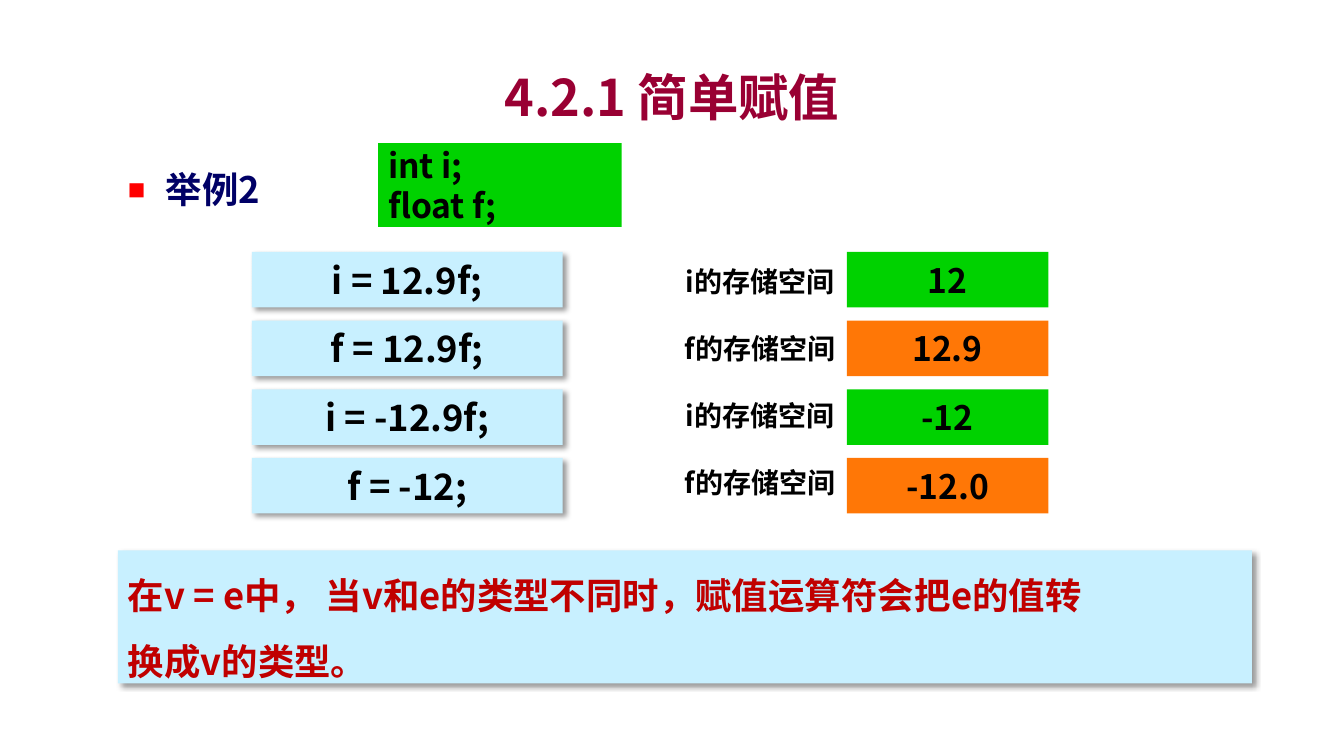
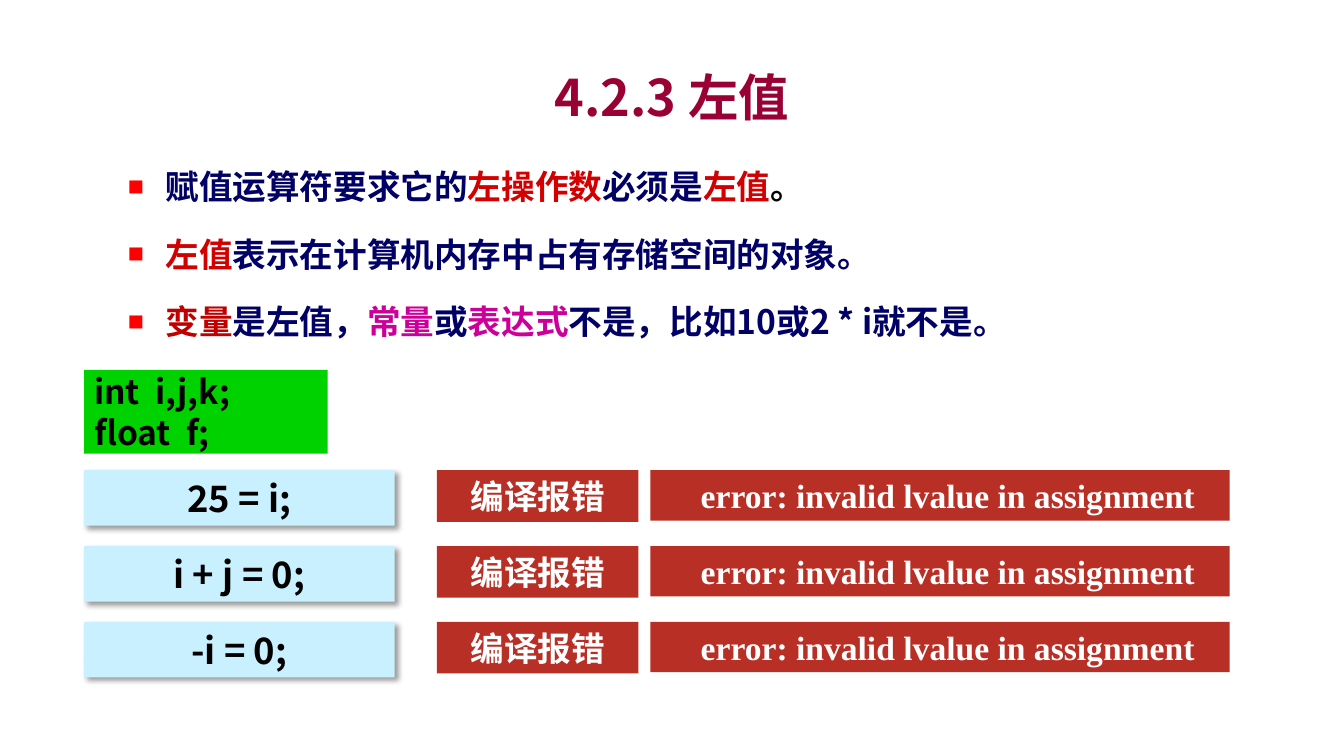
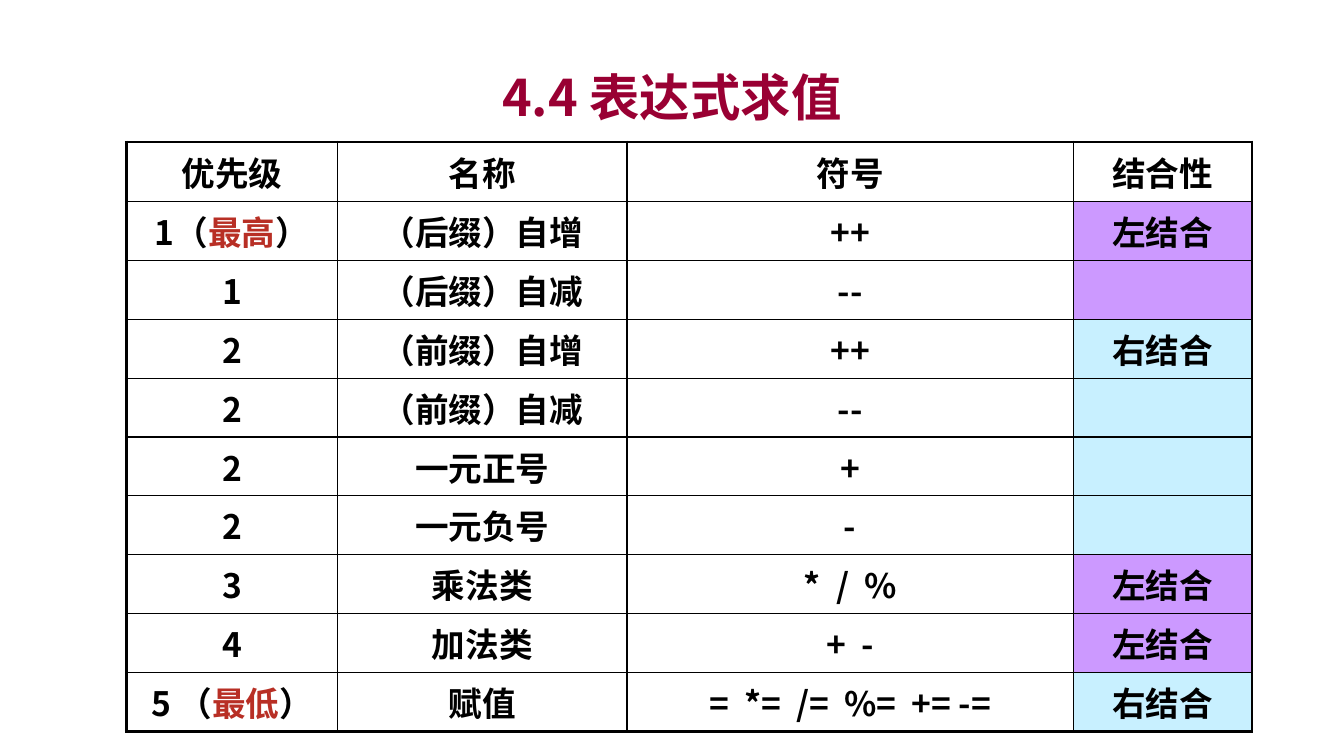
from lxml.etree import SubElement
from pptx import Presentation
from pptx.dml.color import RGBColor
from pptx.enum.shapes import MSO_SHAPE as Shape
from pptx.enum.text import MSO_ANCHOR as Anchor, MSO_AUTO_SIZE as AutoSize, PP_ALIGN as Align
from pptx.oxml.ns import qn
from pptx.util import Cm, Pt

FONT = "Noto Sans CJK SC"
CODE_FONT = "Times New Roman"
COLORS = {
    "title": "990033", "body": "000066", "text": "000000", "white": "FFFFFF",
    "bullet": "FF0000", "key": "D20000", "variable": "C00000", "contrast": "CC0099",
    "green": "00D200", "orange": "FF7706", "sky": "C8F0FF", "violet": "CC99FF",
    "error": "B82F25",
}
STATEMENT_SIZE = (7.83, 1.4)
DECLARATION_SIZE = (6.14, 2.11)


def rgb(name):
    return RGBColor.from_string(COLORS[name])


def write(para, spans, size, color="text", align=Align.LEFT, font=FONT):
    if isinstance(spans, str):
        spans = [(spans, None)]
    para.alignment = align
    para.font.size = Pt(size)
    para.font.bold = True
    para.font.name = font
    para.font.color.rgb = rgb(color)
    SubElement(para._p.pPr.find(qn("a:defRPr")), qn("a:ea"), typeface=font)
    for text, span_color in spans:
        span = para.add_run()
        span.text = text
        if span_color:
            span.font.color.rgb = rgb(span_color)


def write_lines(frame, lines, size, color, align, spacing=None, font=FONT):
    frame.word_wrap = False
    frame.vertical_anchor = Anchor.MIDDLE
    for index, line in enumerate(lines):
        para = frame.add_paragraph() if index else frame.paragraphs[0]
        if spacing:
            para.line_spacing = spacing
        write(para, line, size, color, align, font)


def cast_shadow(box):
    effects = box._element.spPr.find(qn("a:effectLst"))
    shadow = SubElement(effects, qn("a:outerShdw"), blurRad=str(Pt(4)), dist=str(Pt(3)),
                        dir="2700000", algn="tl", rotWithShape="0")
    black = SubElement(shadow, qn("a:srgbClr"), val=COLORS["text"])
    SubElement(black, qn("a:alpha"), val="40000")


def add_panel(shapes, place, lines, fill, size=24, color="text", align=Align.CENTER,
              shadow=False, spacing=None, font=FONT):
    box = shapes.add_shape(Shape.RECTANGLE, *map(Cm, place))
    box.shadow.inherit = False
    box.fill.solid()
    box.fill.fore_color.rgb = rgb(fill)
    box.line.fill.background()
    if shadow:
        cast_shadow(box)
    write_lines(box.text_frame, lines, size, color, align, spacing, font)
    return box


def add_statement(page, left, top, code):
    add_panel(page.shapes, (left, top, *STATEMENT_SIZE), [code], "sky", 26, shadow=True)


def add_declaration(page, left, top, lines):
    add_panel(page.shapes, (left, top, *DECLARATION_SIZE), lines, "green", align=Align.LEFT)


def add_label(page, place, text):
    box = page.shapes.add_textbox(*map(Cm, place))
    frame = box.text_frame
    frame.margin_left = frame.margin_right = 0
    write_lines(frame, [text], 20, "text", Align.CENTER)


def put(holder, place):
    holder.left, holder.top, holder.width, holder.height = map(Cm, place)


def add_page(deck, layout, title):
    page = deck.slides.add_slide(deck.slide_layouts[layout])
    holder = page.shapes.title
    put(holder, (2.54, 1.47, 28.78, 1.9))
    frame = holder.text_frame
    frame.auto_size = AutoSize.NONE
    frame.vertical_anchor = Anchor.MIDDLE
    write(frame.paragraphs[0], title, 36, "title", Align.CENTER)
    return page


def fill_body(page, place, items, size):
    holder = page.placeholders[1]
    put(holder, place)
    frame = holder.text_frame
    frame.auto_size = AutoSize.NONE
    for index, item in enumerate(items):
        para = frame.add_paragraph() if index else frame.paragraphs[0]
        para.line_spacing = 1.25
        para.space_before = Pt(6 if index else 0)
        para.space_after = Pt(6)
        props = para._p.get_or_add_pPr()
        props.set("marL", str(Cm(0.95)))
        props.set("indent", str(Cm(-0.95)))
        color = SubElement(props, qn("a:buClr"))
        SubElement(color, qn("a:srgbClr"), val=COLORS["bullet"])
        SubElement(props, qn("a:buSzPct"), val="80000")
        SubElement(props, qn("a:buChar"), char="■")
        write(para, item, size, "body")


def add_storage_rows(page, left, top, rows):
    pitch, label_pitch = 1.73, 1.69
    for index, (code, name, value, fill) in enumerate(rows):
        row_top = top + index * pitch
        add_statement(page, left, row_top, code)
        add_label(page, (left + 10.58, top + index * label_pitch, 4.45, 1.47),
                  f"{name}的存储空间")
        add_panel(page.shapes, (left + 14.99, row_top, 5.08, 1.4), [value], fill)


def add_error_rows(page, left, top, statements):
    pitch = 1.91
    for index, code in enumerate(statements):
        row_top = top + index * pitch
        add_statement(page, left, row_top, code)
        group = page.shapes.add_group_shape()
        add_panel(group.shapes, (left + 8.89, row_top, 5.08, 1.3), ["编译报错"],
                  "error", color="white")
        message = add_panel(group.shapes, (left + 14.27, row_top, 14.6, 1.27),
                            ["error: invalid lvalue in assignment"], "error",
                            color="white", align=Align.LEFT, font=CODE_FONT)
        message.text_frame.margin_left = message.text_frame.margin_right = 0
        message.text_frame.paragraphs[0]._p.pPr.set("marL", str(Cm(1.27)))


def set_border(cell, side, width):
    line = SubElement(cell._tc.get_or_add_tcPr(), qn(f"a:{side}"), w=str(Pt(width)))
    fill = SubElement(line, qn("a:solidFill"))
    SubElement(fill, qn("a:srgbClr"), val=COLORS["text"])


def add_operator_table(page, left, top, widths, rows, fills):
    last_row, last_column = len(rows) - 1, len(widths) - 1
    heights = [1.5] + [1.42] * last_row
    table = page.shapes.add_table(len(rows), len(widths), Cm(left), Cm(top),
                                  Cm(sum(widths)), Cm(sum(heights))).table
    table.first_row = table.horz_banding = False
    for column, width in zip(table.columns, widths):
        column.width = Cm(width)
    for row, height in zip(table.rows, heights):
        row.height = Cm(height)
    for r, texts in enumerate(rows):
        for c, text in enumerate(texts):
            cell = table.cell(r, c)
            outer = {"lnL": c == 0, "lnR": c == last_column,
                     "lnT": r == 0, "lnB": r == last_row}
            for side, is_outer in outer.items():
                set_border(cell, side, 2.25 if is_outer else 1)
            if c == last_column and fills[r]:
                cell.fill.solid()
                cell.fill.fore_color.rgb = rgb(fills[r])
            else:
                cell.fill.background()
            if text:
                write(cell.text_frame.paragraphs[0], text, 24, align=Align.CENTER)


def build_assignment(deck):
    page = add_page(deck, 1, "4.2.1 简单赋值")
    fill_body(page, (2.97, 3.81, 28.58, 14.12), ["举例2"], 26)
    add_declaration(page, 9.53, 3.61, ["int i;", "float f;"])
    add_storage_rows(page, 6.35, 6.35, [
        ("i = 12.9f;", "i", "12", "green"),
        ("f = 12.9f;", "f", "12.9", "orange"),
        ("i = -12.9f;", "i", "-12", "green"),
        ("f = -12;", "f", "-12.0", "orange"),
    ])
    add_panel(page.shapes, (2.97, 13.87, 28.58, 3.35),
              ["在v = e中， 当v和e的类型不同时，赋值运算符会把e的值转", "换成v的类型。"],
              "sky", 26, "variable", Align.LEFT, shadow=True, spacing=1.5)


def build_lvalue(deck):
    page = add_page(deck, 1, "4.2.3 左值")
    fill_body(page, (2.97, 3.81, 27.94, 14.12), [
        [("赋值运算符要求它的", None), ("左操作数", "key"), ("必须是", None),
         ("左值", "key"), ("。", "text")],
        [("左值", "key"), ("表示在计算机内存中占有存储空间的对象。", None)],
        [("变量", "variable"), ("是左值，", None), ("常量", "contrast"), ("或", None),
         ("表达式", "contrast"), ("不是，比如10或2 * i就不是。", None)],
    ], 24)
    add_declaration(page, 2.12, 9.32, ["int  i,j,k;", "float  f;"])
    add_error_rows(page, 2.12, 11.85, ["25 = i;", "i + j = 0;", "-i = 0;"])


def build_evaluation(deck):
    page = add_page(deck, 5, "4.4 表达式求值")
    highest = [("1（", None), ("最高", "error"), ("）", None)]
    lowest = [("5 （", None), ("最低", "error"), ("）", None)]
    rows = [
        ("优先级", "名称", "符号", "结合性"),
        (highest, "（后缀）自增", "++", "左结合"),
        ("1", "（后缀）自减", "--", ""),
        ("2", "（前缀）自增", "++", "右结合"),
        ("2", "（前缀）自减", "--", ""),
        ("2", "一元正号", "+", ""),
        ("2", "一元负号", "-", ""),
        ("3", "乘法类", "*  /  %", "左结合"),
        ("4", "加法类", "+  -", "左结合"),
        (lowest, "赋值", "=  *=  /=  %=  += -=", "右结合"),
    ]
    fills = [None] + ["violet"] * 2 + ["sky"] * 4 + ["violet"] * 2 + ["sky"]
    add_operator_table(page, 3.18, 3.58, [5.33, 7.29, 11.25, 4.5], rows, fills)


def main():
    deck = Presentation()
    deck.slide_width, deck.slide_height = Cm(33.87), Cm(19.05)
    build_assignment(deck)
    build_lvalue(deck)
    build_evaluation(deck)
    deck.save("out.pptx")


if __name__ == "__main__":
    main()
